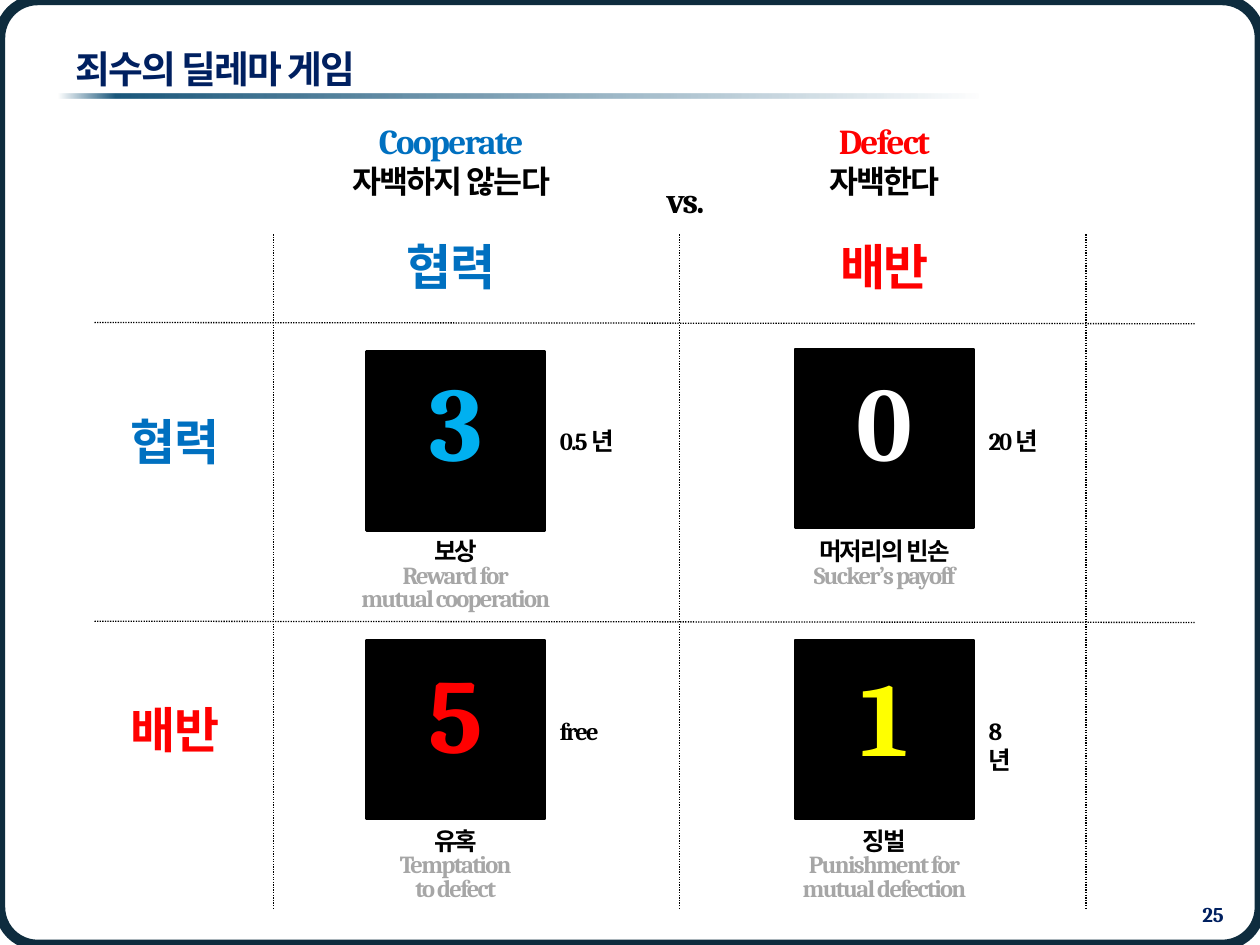
"""Build the prisoner's dilemma payoff matrix slide."""
import pptx
import pptx.util
import pptx.dml.color
import pptx.enum.dml
import pptx.enum.shapes
import pptx.enum.text
import pptx.oxml
import pptx.oxml.ns

Pt = pptx.util.Pt
ALIGN = pptx.enum.text.PP_ALIGN
ANCHOR = pptx.enum.text.MSO_ANCHOR
SHAPE = pptx.enum.shapes.MSO_SHAPE

COLORS = {
    "frame": "0E2C3E", "rule": "1B587C", "navy": "002060", "black": "000000",
    "blue": "0070C0", "red": "FF0000", "sky": "00B0F0", "white": "FFFFFF",
    "yellow": "FFFF00", "gray": "A6A6A6",
}

TITLE = "죄수의 딜레마 게임"
PAGE_NUMBER = "25"
HEADINGS = [
    (257.8, "Cooperate", "자백하지 않는다", "협력", "blue"),
    (505.4, "Defect", "자백한다", "배반", "red"),
]
ROW_LABELS = [("협력", "blue", 231.8), ("배반", "red", 396)]
PAYOFFS = [
    {"row": 0, "column": 0, "score": "3", "color": "sky", "years": "0.5 년",
     "tile_top": 200.9, "score_top": 200.2,
     "caption": ["보상", "Reward for", "mutual cooperation"]},
    {"row": 0, "column": 1, "score": "0", "color": "white", "years": "20 년",
     "tile_top": 199.4, "score_top": 200.2,
     "caption": ["머저리의 빈손", "Sucker’s payoff"]},
    {"row": 1, "column": 0, "score": "5", "color": "red", "years": "free",
     "tile_top": 365.8, "score_top": 367.2,
     "caption": ["유혹", "Temptation", "to defect"]},
    {"row": 1, "column": 1, "score": "1", "color": "yellow", "years": "8 년",
     "tile_top": 365.8, "score_top": 368.6,
     "caption": ["징벌", "Punishment for", "mutual defection"]},
]
COLUMN_CENTERS = [260.4, 505.4]
YEARS_TOPS = [239.8, 405.4]
CAPTION_TOPS = [306, 471.6]
TILE = 102.2
GRID_LEFT, GRID_RIGHT, GRID_TOP, GRID_BOTTOM = 54, 683.3, 133.9, 519.1
GRID_ROWS = [184.3, 355]
GRID_COLUMNS = [156.2, 388.1, 620.6]


def rgb(name):
    return pptx.dml.color.RGBColor.from_string(COLORS[name])


def add_text(page, left, top, width, height, lines, align=ALIGN.CENTER, tracking=-1,
             font="Cambria", wrap=False, line_spacing=None, anchor=ANCHOR.TOP):
    """Add a text box from (text, size, color, space before) lines."""
    box = page.shapes.add_textbox(Pt(left), Pt(top), Pt(width), Pt(height))
    frame = box.text_frame
    frame.word_wrap = wrap
    frame.vertical_anchor = anchor
    for index, (text, size, color, before) in enumerate(lines):
        para = frame.paragraphs[0] if index == 0 else frame.add_paragraph()
        para.alignment = align
        para.space_before = Pt(before)
        if line_spacing:
            para.line_spacing = line_spacing
        span = para.add_run()
        span.text = text
        span.font.name = font
        span.font.size = Pt(size)
        span.font.bold = True
        span.font.color.rgb = rgb(color)
        if tracking:
            span.font._element.set("spc", str(tracking * 100))


def add_centered(page, center, top, width, height, lines, **options):
    add_text(page, center - width / 2, top, width, height, lines, **options)


def add_box(page, kind, left, top, width, height):
    shape = page.shapes.add_shape(kind, Pt(left), Pt(top), Pt(width), Pt(height))
    shape.shadow.inherit = False
    return shape


def add_dotted_line(page, x1, y1, x2, y2):
    line = page.shapes.add_connector(
        pptx.enum.shapes.MSO_CONNECTOR.STRAIGHT, Pt(x1), Pt(y1), Pt(x2), Pt(y2))
    line.line.color.rgb = rgb("black")
    line.line.width = Pt(0.75)
    line.line.dash_style = pptx.enum.dml.MSO_LINE.ROUND_DOT
    properties = line._element.spPr
    properties.append(properties.makeelement(pptx.oxml.ns.qn("a:effectLst"), {}))


def add_background(page):
    frame = add_box(page, SHAPE.ROUNDED_RECTANGLE, 0, 0, 720, 540)
    frame.adjustments[0] = 0.04
    frame.fill.background()
    frame.line.color.rgb = rgb("frame")
    frame.line.width = Pt(6)

    rule = add_box(page, SHAPE.RECTANGLE, 33.8, 53.3, 658.1, 2.9)
    rule.line.fill.background()
    stops = "".join(
        f'<a:gs pos="{place * 1000}"><a:srgbClr val="{COLORS["rule"]}">'
        f'<a:alpha val="{alpha * 1000}"/></a:srgbClr></a:gs>'
        for place, alpha in [(0, 0), (5, 100), (80, 0)])
    gradient = pptx.oxml.parse_xml(
        f'<a:gradFill {pptx.oxml.ns.nsdecls("a")} rotWithShape="1">'
        f'<a:gsLst>{stops}</a:gsLst><a:lin ang="0" scaled="0"/></a:gradFill>')
    rule._element.spPr.find(pptx.oxml.ns.qn("a:prstGeom")).addnext(gradient)


def add_payoff(page, payoff):
    center = COLUMN_CENTERS[payoff["column"]]
    row = payoff["row"]
    tile = add_box(page, SHAPE.RECTANGLE, center - TILE / 2, payoff["tile_top"], TILE, TILE)
    tile.fill.solid()
    tile.fill.fore_color.rgb = rgb("black")
    tile.line.color.rgb = rgb("black")
    tile.line.width = Pt(1.5)
    add_centered(page, center, payoff["score_top"], 51, 80,
                 [(payoff["score"], 60, payoff["color"], 0)])
    caption = [(text, 14, "gray" if index else "black", 0)
               for index, text in enumerate(payoff["caption"])]
    add_centered(page, center, CAPTION_TOPS[row], 140, 16 * len(caption), caption,
                 line_spacing=0.8)
    narrow = payoff["years"] == "8 년"
    add_text(page, center + 52.4, YEARS_TOPS[row], 36 if narrow else 50, 24.5,
             [(payoff["years"], 14, "black", 0)], align=ALIGN.LEFT, wrap=narrow)


def main():
    deck = pptx.Presentation()
    deck.slide_width, deck.slide_height = Pt(720), Pt(540)
    page = deck.slides.add_slide(deck.slide_layouts[6])
    add_background(page)
    add_text(page, 36, 21.6, 648, 34.6, [(TITLE, 21.6, "navy", 0)], align=ALIGN.LEFT,
             font="Cabin", wrap=True, anchor=ANCHOR.MIDDLE)
    add_text(page, 646.6, 511.9, 59.8, 17.3, [(PAGE_NUMBER, 12, "navy", 0)],
             align=ALIGN.RIGHT, tracking=0, wrap=True)
    for center, english, meaning, label, color in HEADINGS:
        add_centered(page, center, 64.8, 138, 108.7,
                     [(english, 20, color, 0), (meaning, 18, "black", 0),
                      (label, 28, color, 21)])
    add_centered(page, 391.7, 98.6, 40, 31.7, [("vs.", 20, "black", 0)])
    for label, color, top in ROW_LABELS:
        add_centered(page, 100.1, top, 69, 41, [(label, 28, color, 0)])
    for payoff in PAYOFFS:
        add_payoff(page, payoff)
    for y in GRID_ROWS:
        add_dotted_line(page, GRID_LEFT, y, GRID_RIGHT, y + 0.7)
    for x in GRID_COLUMNS:
        add_dotted_line(page, x, GRID_TOP, x, GRID_BOTTOM)
    deck.save("out.pptx")


if __name__ == "__main__":
    main()
